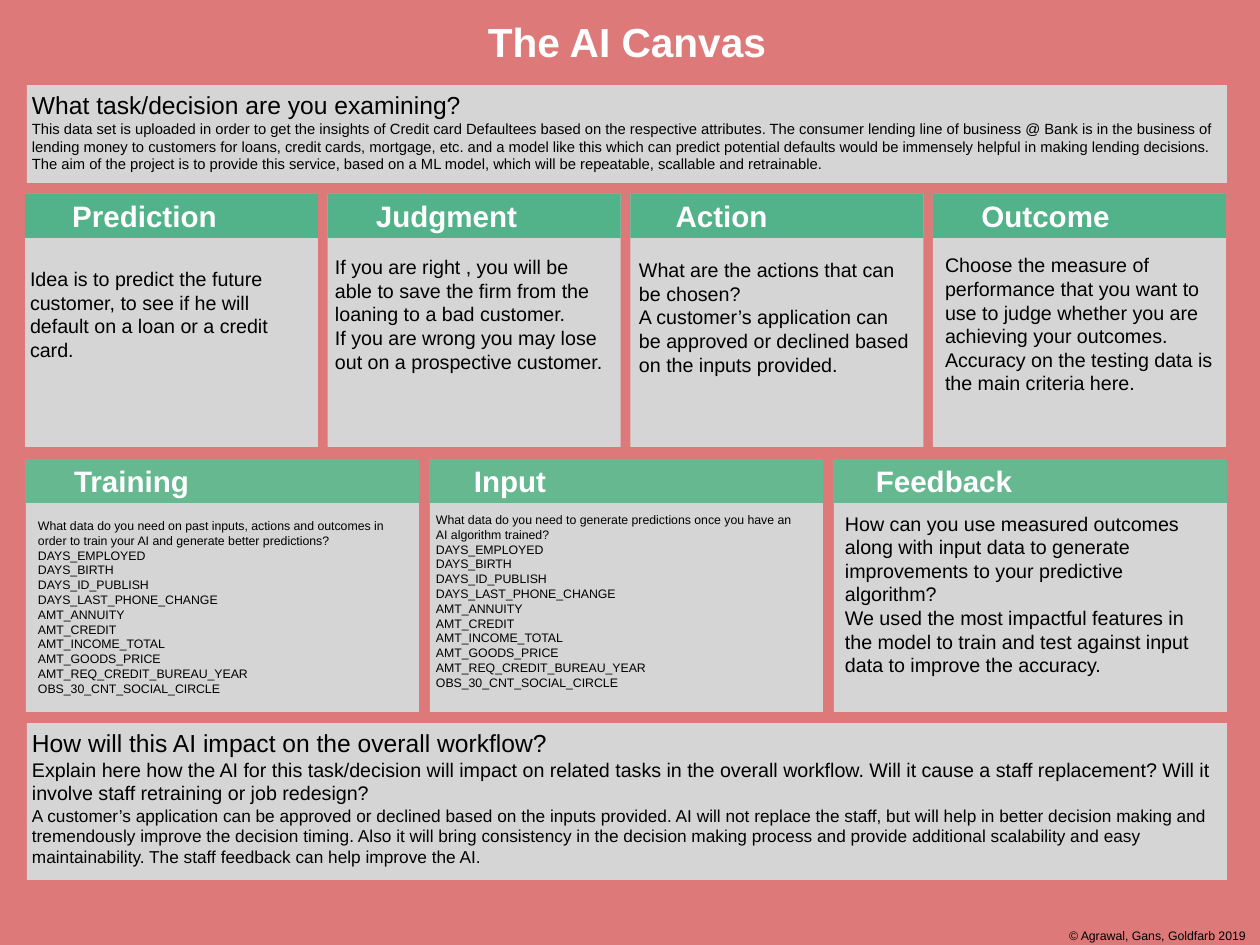
from pptx import Presentation
from pptx.dml.color import RGBColor
from pptx.enum.shapes import MSO_SHAPE
from pptx.enum.text import MSO_ANCHOR, MSO_AUTO_SIZE, PP_ALIGN

RECTANGLE = MSO_SHAPE.RECTANGLE
TOP, MIDDLE = MSO_ANCHOR.TOP, MSO_ANCHOR.MIDDLE
LEFT, CENTER = PP_ALIGN.LEFT, PP_ALIGN.CENTER
NO_AUTOFIT = MSO_AUTO_SIZE.NONE
EMU_PER_PX = 10320
EMU_PER_POINT = 12700
TITLE_ONLY = 5

SLIDE_SIZE = (1260, 945)
FONT = "Arial"
CORAL, GREY = "DE7979", "D6D5D5"
WHITE, BLACK = "FFFFFF", "000000"
HEADER_HEIGHT, CARD_HEIGHT = 44, 253

TITLE = "The AI Canvas"
TITLE_PLACE = (427, 12, 400, 58)
COPYRIGHT = "© Agrawal, Gans, Goldfarb 2019"
COPYRIGHT_PLACE = (1060, 919, 200, 26)

FEATURES = [
    "DAYS_EMPLOYED",
    "DAYS_BIRTH",
    "DAYS_ID_PUBLISH",
    "DAYS_LAST_PHONE_CHANGE",
    "AMT_ANNUITY",
    "AMT_CREDIT",
    "AMT_INCOME_TOTAL",
    "AMT_GOODS_PRICE",
    "AMT_REQ_CREDIT_BUREAU_YEAR",
    "OBS_30_CNT_SOCIAL_CIRCLE",
]

BANNERS = [
    ((27, 85, 1200, 98), [
        ("What task/decision are you examining?", 20),
        ("This data set is uploaded in order to get the insights of Credit card Defaultees based on "
         "the respective attributes. The consumer lending line of business @ Bank is in the business "
         "of lending money to customers for loans, credit cards, mortgage, etc. and a model like this "
         "which can predict potential defaults would be immensely helpful in making lending decisions. "
         "The aim of the project is to provide this service, based on a ML model, which will be "
         "repeatable, scallable and retrainable.", 12),
    ]),
    ((27, 723, 1200, 157), [
        ("How will this AI impact on the overall workflow?", 20),
        ("Explain here how the AI for this task/decision will impact on related tasks in the overall "
         "workflow. Will it cause a staff replacement? Will it involve staff retraining or job "
         "redesign?", 16),
        ("A customer’s application can be approved or declined based on the inputs provided. AI will "
         "not replace the staff, but will help in better decision making and tremendously improve the "
         "decision timing. Also it will bring consistency in the decision making process and provide "
         "additional scalability and easy maintainability. The staff feedback can help improve the "
         "AI.", 14),
    ]),
]

# Each card: heading, heading left and width, body place, text size, paragraphs
CARD_ROWS = [
    {"left": 25, "top": 194, "width": 293, "color": "52B289", "cards": [
        ("Prediction", (65, 159), (25, 245, 280, 138), 16, [
            "Idea is to predict the future customer, to see if he will default on a loan or a "
            "credit card."]),
        ("Judgment", (367, 159), (330, 245, 280, 138), 16, [
            "If you are right , you will be able to save the firm from the loaning to a bad customer.",
            "If you are wrong you may lose out on a prospective customer."]),
        ("Action", (642, 159), (634, 245, 280, 144), 16, [
            "What are the actions that can be chosen?",
            "A customer’s application can be approved or declined based on the inputs provided."]),
        ("Outcome", (966, 159), (940, 245, 280, 158), 16, [
            "Choose the measure of performance that you want to use to judge whether you are "
            "achieving your outcomes.",
            "Accuracy on the testing data is the main criteria here."]),
    ]},
    {"left": 26, "top": 459, "width": 393, "color": "66B890", "cards": [
        ("Training", (64, 135), (33, 513, 379, 188), 10, [
            "What data do you need on past inputs, actions and outcomes in order to train your AI "
            "and generate better predictions?"] + FEATURES),
        ("Input", (461, 98), (431, 507, 379, 188), 10, [
            "What data do you need to generate predictions once you have an AI algorithm "
            "trained?"] + FEATURES),
        ("Feedback", (867, 154), (840, 506, 379, 176), 16, [
            "How can you use measured outcomes along with input data to generate improvements to "
            "your predictive algorithm?",
            "We used the most impactful features in the model to train and test against input data "
            "to improve the accuracy."]),
    ]},
]
ROW_SPAN = 1201


def px(value):
    return round(value * EMU_PER_PX)


def color(value):
    return RGBColor.from_string(value)


def write(box, lines, font_color=BLACK, bold=False, align=LEFT, anchor=MIDDLE, inset=5):
    frame = box.text_frame
    frame.text = "\n".join(text for text, size in lines)
    frame.word_wrap = True
    frame.auto_size = NO_AUTOFIT
    frame.vertical_anchor = anchor
    frame.margin_left = frame.margin_right = px(inset)
    frame.margin_top = frame.margin_bottom = px(inset)
    for para, (text, size) in zip(frame.paragraphs, lines):
        para.alignment = align
        for span in para.runs:
            span.font.name = FONT
            span.font.size = size * EMU_PER_POINT
            span.font.bold = bold
            span.font.color.rgb = color(font_color)


def add_panel(page, place, fill):
    panel = page.shapes.add_shape(RECTANGLE, *map(px, place))
    panel.shadow.inherit = False
    panel.fill.solid()
    panel.fill.fore_color.rgb = color(fill)
    panel.line.fill.background()
    return panel


def add_text(page, place, lines, **style):
    write(page.shapes.add_textbox(*map(px, place)), lines, **style)


def add_card_row(page, row):
    top, width, cards = row["top"], row["width"], row["cards"]
    pitch = (ROW_SPAN - width) / (len(cards) - 1)
    for index, (heading, (heading_left, heading_width), body, size, texts) in enumerate(cards):
        left = row["left"] + index * pitch
        add_panel(page, (left, top, width, CARD_HEIGHT), GREY)
        add_panel(page, (left, top, width, HEADER_HEIGHT), row["color"])
        add_text(page, (heading_left, top, heading_width, HEADER_HEIGHT), [(heading, 24)],
                 font_color=WHITE, bold=True, align=CENTER)
        add_text(page, body, [(text, size) for text in texts])


def main():
    deck = Presentation()
    deck.slide_width, deck.slide_height = map(px, SLIDE_SIZE)
    page = deck.slides.add_slide(deck.slide_layouts[TITLE_ONLY])
    page.background.fill.solid()
    page.background.fill.fore_color.rgb = color(CORAL)

    title = page.shapes.title
    title.left, title.top, title.width, title.height = map(px, TITLE_PLACE)
    write(title, [(TITLE, 33)], font_color=WHITE, bold=True, align=CENTER)

    for row in CARD_ROWS:
        add_card_row(page, row)
    for place, lines in BANNERS:
        write(add_panel(page, place, GREY), lines, anchor=TOP)
    add_text(page, COPYRIGHT_PLACE, [(COPYRIGHT, 10)], anchor=TOP, inset=9)

    deck.save("out.pptx")


if __name__ == "__main__":
    main()
